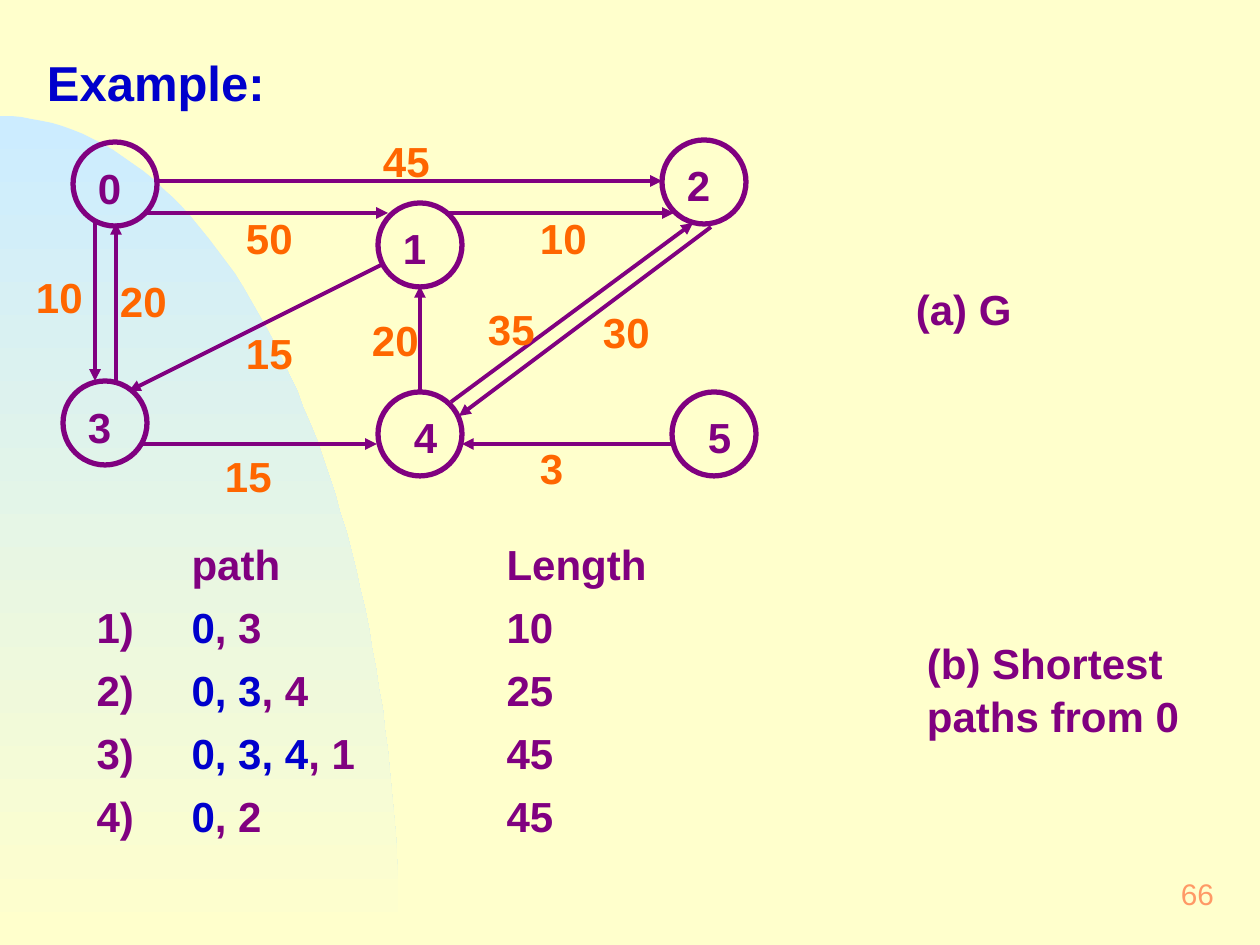
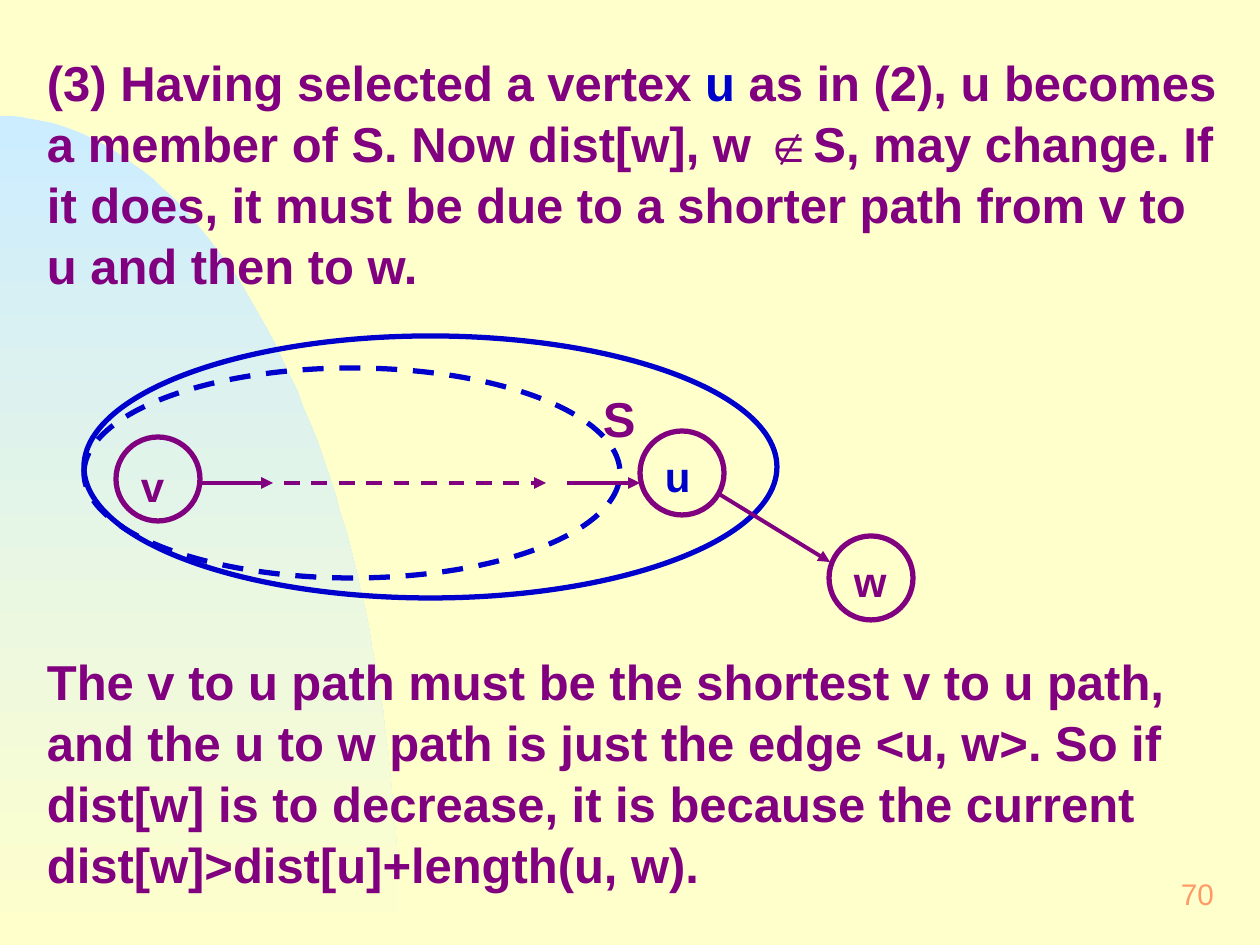
from math import cos, pi, sin

from lxml import etree
from pptx import Presentation
from pptx.dml.color import RGBColor
from pptx.enum.dml import MSO_LINE
from pptx.enum.shapes import MSO_CONNECTOR as Connector, MSO_SHAPE as Preset
from pptx.enum.text import MSO_ANCHOR as Anchor, MSO_AUTO_SIZE as AutoSize, PP_ALIGN as Align
from pptx.oxml.ns import qn
from pptx.util import Emu, Pt

EMU_PER_PX = 914400 / 126
SLIDE_WIDTH, SLIDE_HEIGHT = 1260, 945
FONT = "Arial"
COLORS = {
    "paper": "FFFFCC",
    "sky": "CCECFF",
    "text": "800080",
    "accent": "0000CC",
    "weight": "FF6600",
    "number": "FF9966",
}
NODE_SIZE = 84
HEADING_LEFT, HEADING_WIDTH = 32, 1207
WIDE_INSET, NARROW_INSET = (15, 8), (13, 6)
LINE_SPACING = 1.04
PLAIN_TABLE_STYLE = "{2D5ABB26-0587-4C30-8999-92F81FD0307C}"


def px(length):
    return Emu(round(length * EMU_PER_PX))


def px_all(*lengths):
    return [px(length) for length in lengths]


def color(name):
    return RGBColor.from_string(COLORS[name])


def add_runs(paragraph, runs, size, bold=True):
    """Add (text, colour name) pairs to a paragraph."""
    for text, color_name in runs:
        run = paragraph.add_run()
        run.text = text
        run.font.name = FONT
        run.font.size = Pt(size)
        run.font.bold = bold
        run.font.color.rgb = color(color_name)


def fill_frame(shape, runs, size, inset=WIDE_INSET, bold=True, align=Align.LEFT, anchor=Anchor.TOP):
    frame = shape.text_frame
    frame.word_wrap = True
    frame.auto_size = AutoSize.NONE
    frame.vertical_anchor = anchor
    frame.margin_left = frame.margin_right = px(inset[0])
    frame.margin_top = frame.margin_bottom = px(inset[1])
    paragraph = frame.paragraphs[0]
    paragraph.alignment = align
    paragraph.line_spacing = LINE_SPACING
    add_runs(paragraph, runs, size, bold)


def add_text(slide, box, runs, size=24, **style):
    fill_frame(slide.shapes.add_textbox(*px_all(*box)), runs, size, **style)


def add_ellipse(slide, box, color_name, dashed=False):
    ellipse = slide.shapes.add_shape(Preset.OVAL, *px_all(*box))
    ellipse.shadow.inherit = False
    ellipse.fill.background()
    ellipse.line.color.rgb = color(color_name)
    ellipse.line.width = Pt(3)
    if dashed:
        ellipse.line.dash_style = MSO_LINE.DASH


def add_node(slide, left, top, name, label_dx=10, label_dy=10, color_name="text"):
    add_ellipse(slide, (left, top, NODE_SIZE, NODE_SIZE), "text")
    add_text(slide, (left + label_dx, top + label_dy, 63, 66), [(name, color_name)])


def add_arrow(slide, start_x, start_y, end_x, end_y, dashed=False):
    arrow = slide.shapes.add_connector(Connector.STRAIGHT, *px_all(start_x, start_y, end_x, end_y))
    arrow.line.color.rgb = color("text")
    arrow.line.width = Pt(2.25)
    if dashed:
        arrow.line.dash_style = MSO_LINE.DASH
    properties = arrow._element.spPr
    etree.SubElement(properties.find(qn("a:ln")), qn("a:tailEnd"), type="triangle")
    etree.SubElement(properties, qn("a:effectLst"))


def add_slide(presentation, number, heading, heading_height):
    """Add a slide with its heading in the title placeholder and its number."""
    slide = presentation.slides.add_slide(presentation.slide_layouts[5])
    title = slide.shapes.title
    title.left, title.top, title.width, title.height = px_all(
        HEADING_LEFT, 42, HEADING_WIDTH, heading_height)
    fill_frame(title, heading, 28)
    add_text(slide, (966, 861, 263, 63), [(number, "number")], 17,
             bold=False, align=Align.RIGHT, anchor=Anchor.MIDDLE)
    return slide


def decorate_layout(slide):
    """Give the slide's layout the paper background and the quarter-ellipse glow."""
    layout = slide.slide_layout
    layout.background.fill.solid()
    layout.background.fill.fore_color.rgb = color("paper")

    radius_x, radius_y, steps = 399, 829, 60
    angles = [pi / 2 * step / steps for step in range(steps + 1)]
    curve = [(round(radius_x * sin(angle)), round(SLIDE_HEIGHT - radius_y * cos(angle)))
             for angle in angles]
    builder = slide.shapes.build_freeform(*curve[0], scale=EMU_PER_PX)
    builder.add_line_segments(curve[1:] + [(0, SLIDE_HEIGHT)], close=True)
    glow = builder.convert_to_shape()
    glow.shadow.inherit = False
    glow.line.fill.background()
    glow.fill.gradient()
    glow.fill.gradient_angle = 270
    for stop, name in zip(glow.fill.gradient_stops, ("sky", "paper")):
        stop.color.rgb = color(name)
    layout.shapes[0]._element.addprevious(glow._element)


def add_weighted_graph(slide, left, top):
    nodes = [
        ("0", 52, 16, 10, 11),
        ("1", 357, 77, 10, 10),
        ("2", 641, 14, 10, 10),
        ("3", 42, 255, 10, 11),
        ("4", 357, 266, 21, 10),
        ("5", 651, 266, 21, 10),
    ]
    edges = [  # weight, arrow start and end, label corner
        ("45", (137, 55), (641, 55), (347, 0)),
        ("50", (126, 87), (367, 87), (210, 77)),
        ("10", (74, 97), (74, 255), (0, 136)),
        ("20", (95, 255), (95, 97), (84, 140)),
        ("10", (426, 87), (653, 87), (504, 77)),
        ("15", (360, 139), (108, 265), (210, 192)),
        ("15", (119, 318), (356, 318), (189, 315)),
        ("20", (399, 266), (399, 160), (336, 179)),
        ("35", (430, 276), (672, 97), (452, 168)),
        ("30", (690, 101), (438, 290), (567, 171)),
        ("3", (651, 318), (441, 318), (504, 307)),
    ]
    for name, x, y, label_dx, label_dy in nodes:
        add_node(slide, left + x, top + y, name, label_dx, label_dy)
    for weight, (start_x, start_y), (end_x, end_y), (label_x, label_y) in edges:
        add_arrow(slide, left + start_x, top + start_y, left + end_x, top + end_y)
        add_text(slide, (left + label_x, top + label_y, 95, 66), [(weight, "weight")])


def add_path_table(slide, left, top):
    paths = [("0", ", 3", "10"), ("0, 3", ", 4", "25"), ("0, 3, 4", ", 1", "45"), ("0", ", 2", "45")]
    rows = [[[], [("path", "text")], [("Length", "text")]]]
    for index, (known, last, length) in enumerate(paths, 1):
        rows.append([[(f"{index})", "text")], [(known, "accent"), (last, "text")], [(length, "text")]])

    widths, row_height = (95, 315, 220), 63
    table = slide.shapes.add_table(
        len(rows), len(widths), *px_all(left, top, sum(widths), row_height * len(rows))).table
    table.first_row = table.horz_banding = False
    table._tbl.tblPr.find(qn("a:tableStyleId")).text = PLAIN_TABLE_STYLE
    for column, width in zip(table.columns, widths):
        column.width = px(width)
    for row, contents in zip(table.rows, rows):
        row.height = px(row_height)
        for cell, runs in zip(row.cells, contents):
            cell.fill.background()
            add_runs(cell.text_frame.paragraphs[0], runs, 24)


def add_vertex_diagram(slide, left, top):
    """Draw set S before (dashed) and after u joins it, and the path v to u to w."""
    add_ellipse(slide, (left, top, 693, 262), "accent")
    add_ellipse(slide, (left, top + 32, 536, 210), "accent", dashed=True)
    add_text(slide, (left + 504, top + 42, 63, 74), [("S", "text")], 28)
    add_node(slide, left + 32, top + 101, "v", label_dy=14)
    add_node(slide, left + 556, top + 95, "u", color_name="accent")
    add_node(slide, left + 745, top + 200, "w")
    path_y = top + 147
    for start_x, end_x, dashed in ((115, 189, False), (200, 462, True), (483, 556, False)):
        add_arrow(slide, left + start_x, path_y, left + end_x, path_y, dashed)
    add_arrow(slide, left + 635, top + 158, left + 746, top + 226)


def build_example_slide(presentation):
    slide = add_slide(presentation, "66", [("Example:", "accent")], 74)
    decorate_layout(slide)
    add_weighted_graph(slide, 21, 126)
    add_path_table(slide, 84, 536)
    add_text(slide, (903, 276, 136, 63), [("(a) G", "text")], inset=NARROW_INSET)
    add_text(slide, (914, 630, 294, 113), [("(b) Shortest paths from 0", "text")], inset=NARROW_INSET)


def build_selection_slide(presentation):
    statement = [
        ("(3) Having selected a vertex ", "text"),
        ("u", "accent"),
        (" as in (2), u becomes a member of S. Now dist[w], w ∉S, may change. "
         "If it does, it must be due to a shorter path from v to u and then to w.", "text"),
    ]
    reason = ("The v to u path must be the shortest v to u path, and the u to w path is just "
              "the edge <u, w>. So if dist[w] is to decrease, it is because the current "
              "dist[w]>dist[u]+length(u, w).")
    slide = add_slide(presentation, "70", statement, 251)
    add_vertex_diagram(slide, 84, 336)
    add_text(slide, (HEADING_LEFT, 641, HEADING_WIDTH, 251), [(reason, "text")], 28)


def main():
    presentation = Presentation()
    presentation.slide_width, presentation.slide_height = px_all(SLIDE_WIDTH, SLIDE_HEIGHT)
    build_example_slide(presentation)
    build_selection_slide(presentation)
    presentation.save("out.pptx")


if __name__ == "__main__":
    main()
